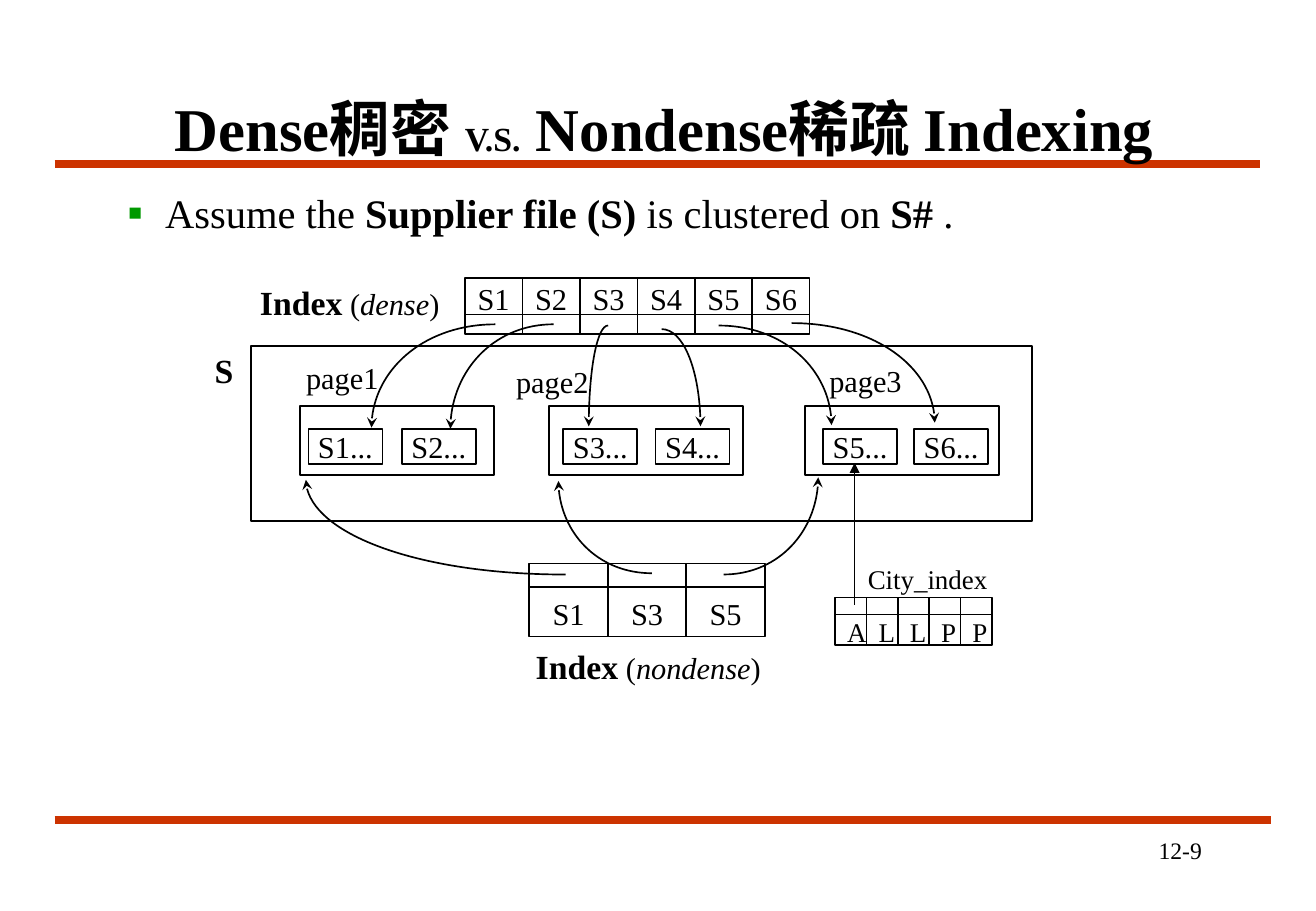
from lxml import etree
from pptx import Presentation
from pptx import util as u
from pptx.dml.color import RGBColor
from pptx.enum import shapes, text
from pptx.oxml.ns import qn

BLACK = RGBColor(0x00, 0x00, 0x00)
WHITE = RGBColor(0xFF, 0xFF, 0xFF)
RED = RGBColor(0xCC, 0x33, 0x00)
GREEN = RGBColor(0x00, 0x99, 0x00)
LEFT, CENTER, RIGHT = text.PP_ALIGN.LEFT, text.PP_ALIGN.CENTER, text.PP_ALIGN.RIGHT
COLUMNS, ROWS = 108.4, 75
CURVE = 0.55


class IndexPage:
    font = "Times New Roman"

    def __init__(self, deck):
        deck.slide_width = self.grid(COLUMNS)
        deck.slide_height = self.grid(ROWS)
        self.page = deck.slides.add_slide(deck.slide_layouts[1])

    def grid(self, cells):
        return u.Inches(cells / 10)

    def place(self, *lengths):
        return [self.grid(cells) for cells in lengths]

    def add_spans(self, frame, spans, align):
        para = frame.paragraphs[0]
        para.alignment = align
        para.space_before = u.Pt(0)
        for words, size, style in spans:
            span = para.add_run()
            span.text = words
            span.font.name = self.font
            span.font.size = u.Pt(size)
            span.font.bold = "b" in style
            span.font.italic = "i" in style
            span.font.color.rgb = BLACK
        return para

    def placeholder(self, position, area, spans, align, anchor):
        holder = self.page.placeholders[position]
        holder.left, holder.top, holder.width, holder.height = self.place(*area)
        self.page.shapes.element.append(holder.element)
        frame = holder.text_frame
        frame.auto_size = text.MSO_AUTO_SIZE.NONE
        frame.vertical_anchor = anchor
        return self.add_spans(frame, spans, align)

    def bullet(self, para, indent, hanging):
        props = para._p.get_or_add_pPr()
        props.set("marL", str(self.grid(indent)))
        props.set("indent", str(self.grid(-hanging)))
        color = etree.SubElement(props, qn("a:buClr"))
        etree.SubElement(color, qn("a:srgbClr")).set("val", str(GREEN))
        etree.SubElement(props, qn("a:buSzPct")).set("val", "110000")
        etree.SubElement(props, qn("a:buChar")).set("char", "▪")

    def label(self, left, top, width, height, spans, align=CENTER):
        box = self.page.shapes.add_textbox(*self.place(left, top, width, height))
        box.text_frame.word_wrap = False
        self.add_spans(box.text_frame, spans, align)

    def rectangle(self, left, top, width, height, fill=None, spans=()):
        box = self.page.shapes.add_shape(
            shapes.MSO_SHAPE.RECTANGLE, *self.place(left, top, width, height))
        box.shadow.inherit = False
        if fill is None:
            box.fill.background()
        else:
            box.fill.solid()
            box.fill.fore_color.rgb = fill
        self.outline(box)
        if spans:
            frame = box.text_frame
            frame.margin_left = frame.margin_right = 0
            frame.margin_top = frame.margin_bottom = 0
            frame.word_wrap = False
            frame.vertical_anchor = text.MSO_ANCHOR.MIDDLE
            self.add_spans(frame, spans, CENTER)

    def outline(self, item, color=BLACK, weight=1, arrow=None):
        item.line.color.rgb = color
        item.line.width = u.Pt(weight)
        if arrow:
            edge = item.element.find(".//" + qn("a:ln"))
            etree.SubElement(edge, qn("a:tailEnd")).set("type", arrow)

    def line(self, start, end, color=BLACK, weight=1, arrow=None):
        item = self.page.shapes.add_connector(
            shapes.MSO_CONNECTOR.STRAIGHT, *self.place(*start, *end))
        self.outline(item, color, weight, arrow)
        etree.SubElement(item.element.spPr, qn("a:effectLst"))

    def pointer(self, root, tip):
        across = root[0] + CURVE * (tip[0] - root[0])
        along = tip[1] + CURVE * (root[1] - tip[1])
        builder = self.page.shapes.build_freeform(*self.place(*root))
        points = [(across, root[1]), (tip[0], along), tip]
        builder.add_line_segments([self.place(*point) for point in points], close=False)
        arc = builder.convert_to_shape()
        outline = arc.element.find(".//" + qn("a:path"))
        curve = etree.Element(qn("a:cubicBezTo"))
        for segment in outline.findall(qn("a:lnTo")):
            curve.append(segment[0])
            outline.remove(segment)
        outline.append(curve)
        arc.shadow.inherit = False
        arc.fill.background()
        self.outline(arc, arrow="stealth")

    def index(self, left, top, width, height, split, label_top, size, keys):
        self.rectangle(left, top, width, height, WHITE)
        self.line((left, split), (left + width, split))
        step = width / len(keys)
        for number, key in enumerate(keys):
            start = left + number * step
            if number:
                self.line((start, top), (start, top + height))
            self.label(start, label_top, step, 4, [(key, size, "")])


def main():
    deck = Presentation()
    slide = IndexPage(deck)

    slide.line((4.5, 13.5), (103.8, 13.5), RED, 4.5)
    slide.line((4.5, 67.5), (104.7, 67.5), RED, 4.5)
    slide.label(78.3, 68.3, 21.7, 6.7, [("12-9", 14, "")], RIGHT)
    slide.placeholder(0, (10, 6.7, 89.4, 7.5), [
        ("Dense稠密 ", 36, "b"), ("V.S.", 20, "b"), (" Nondense稀疏 Indexing", 36, "b"),
    ], CENTER, text.MSO_ANCHOR.MIDDLE)
    assumption = slide.placeholder(1, (4.5, 15, 99.3, 50.8), [
        ("Assume the ", 24, ""), ("Supplier file (S)", 24, "b"),
        (" is clustered on ", 24, ""), ("S#", 24, "b"), (" .", 24, ""),
    ], LEFT, text.MSO_ANCHOR.TOP)
    slide.bullet(assumption, 8.1, 3.1)

    slide.rectangle(20.7, 28.5, 64.3, 14.4)
    slide.label(16.7, 28.3, 3.2, 4.3, [("S", 20, "b")], LEFT)
    supplier_pages = [
        ("page1", 24.2, 29.1, 24.7, [("S1...", 25.4), ("S2...", 33.1)]),
        ("page2", 41.5, 29.4, 45.2, [("S3...", 46.4), ("S4...", 54)]),
        ("page3", 67.3, 29.3, 66.3, [("S5...", 67.8), ("S6...", 75.3)]),
    ]
    for name, name_left, name_top, page_left, records in supplier_pages:
        slide.rectangle(page_left, 33.4, 16, 5.7, WHITE)
        slide.label(name_left, name_top, 8, 4, [(name, 18, "")])
        for record, record_left in records:
            slide.rectangle(record_left, 35.3, 6.1, 2.9, WHITE, [(record, 18, "")])

    slide.index(38.3, 22.9, 28.4, 4.6, 25.9, 22.6, 18,
                ["S1", "S2", "S3", "S4", "S5", "S6"])
    slide.index(43.6, 46.4, 19.4, 6, 48.3, 48.5, 18, ["S1", "S3", "S5"])
    slide.index(68.8, 49.2, 12.9, 3.9, 50.6, 50.2, 16, ["A", "L", "L", "P", "P"])
    for kind, left, top, width in [("dense", 20.4, 22.7, 16.8),
                                   ("nondense", 43.1, 52.7, 20.6)]:
        slide.label(left, top, width, 4.3, [
            ("Index", 20, "b"), (" (", 18, ""), (kind, 18, "i"), (")", 18, "")])
    slide.label(70.5, 45.8, 11.9, 3.7, [("City_index", 16, "")], LEFT)

    dense_pointers = [
        ((40.8, 26.7), (30.6, 35.2)), ((45.6, 26.7), (37.1, 35.3)),
        ((50.1, 26.8), (48.5, 35.1)), ((54.5, 27.1), (57.7, 35.1)),
        ((59.2, 26.8), (68.5, 35)), ((65.2, 26.6), (77, 34.8)),
    ]
    nondense_pointers = [
        ((46.6, 47.3), (25.2, 39.5)), ((53.7, 47.2), (46, 39.6)),
        ((59.6, 47.3), (67.4, 39.3)),
    ]
    for root, tip in dense_pointers + nondense_pointers:
        slide.pointer(root, tip)
    slide.line((70.4, 49.8), (70.4, 38.1), arrow="triangle")

    deck.save("out.pptx")


if __name__ == "__main__":
    main()
